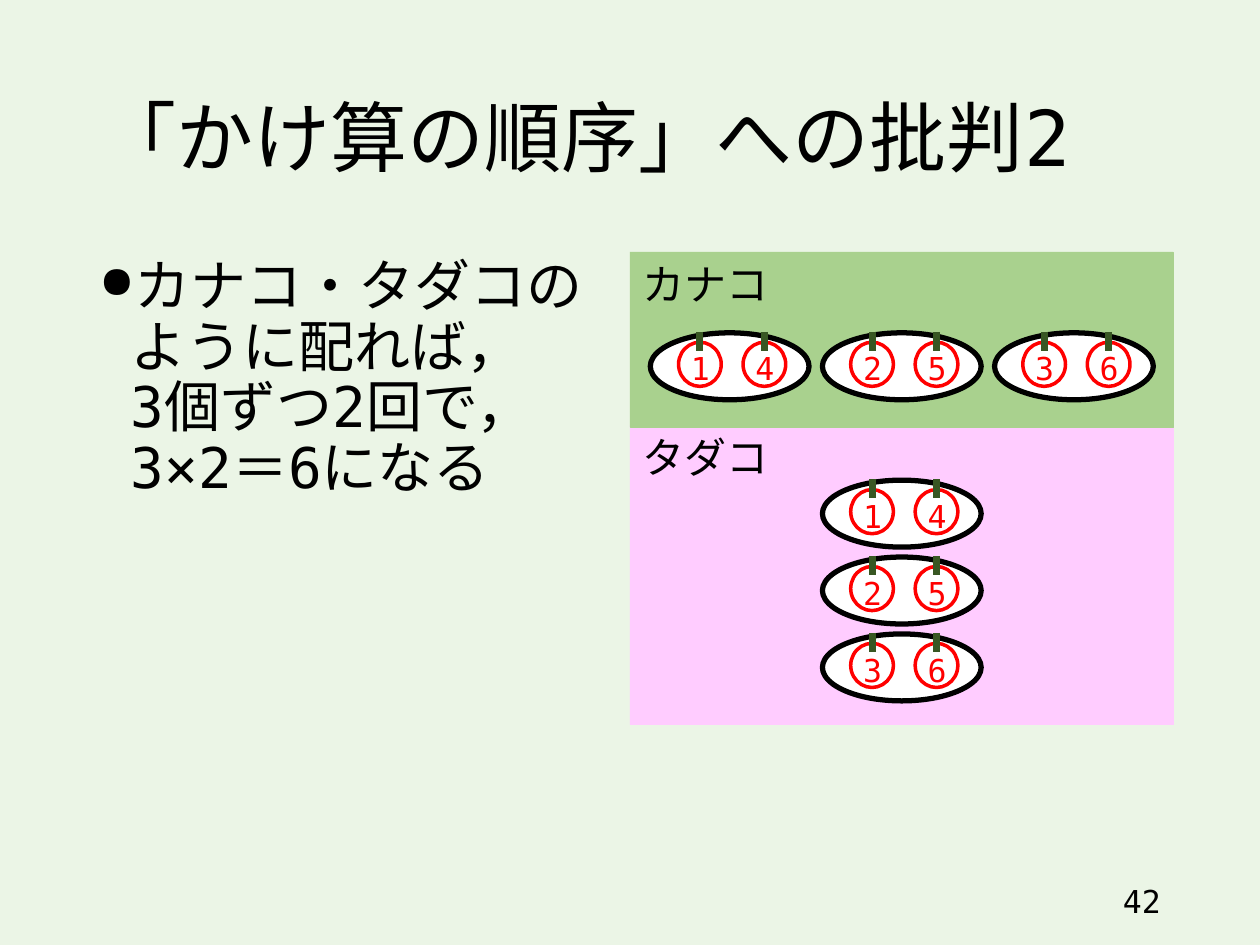
"""Build the slide criticising the fixed order of multiplication."""
from lxml import etree
from pptx import Presentation
from pptx.dml.color import RGBColor
from pptx.enum.shapes import MSO_CONNECTOR, MSO_SHAPE
from pptx.enum.text import MSO_ANCHOR, PP_ALIGN
from pptx.oxml.ns import qn
from pptx.util import Cm, Pt

RECT, OVAL = MSO_SHAPE.RECTANGLE, MSO_SHAPE.OVAL
STRAIGHT = MSO_CONNECTOR.STRAIGHT
LEFT, CENTER, RIGHT = PP_ALIGN.LEFT, PP_ALIGN.CENTER, PP_ALIGN.RIGHT
TOP, MIDDLE = MSO_ANCHOR.TOP, MSO_ANCHOR.MIDDLE

FONT = "DejaVu Sans Mono"
COLORS = {
    "background": "EBF5E6",
    "text": "000000",
    "kanako": "A9D18E",
    "tadako": "FFCCFF",
    "plate": "FFFFFF",
    "apple": "FF0000",
    "stem": "385723",
}
PANEL_X, PANEL_W = 12.7, 10.95
PLATE_W, PLATE_H = 3.2, 1.35
APPLE_W, APPLE_H, APPLE_GAP = 0.86, 0.89, 1.3
PLATES = [("1", "4"), ("2", "5"), ("3", "6")]


def color(name):
    return RGBColor.from_string(COLORS[name])


def place(sp, x, y, w, h):
    sp.left, sp.top, sp.width, sp.height = Cm(x), Cm(y), Cm(w), Cm(h)


def write(sp, text, size, ink="text", align=LEFT, anchor=TOP, wrap=True):
    tf = sp.text_frame
    tf.word_wrap = wrap
    tf.vertical_anchor = anchor
    p = tf.paragraphs[0]
    p.text = text
    p.alignment = align
    p.font.name, p.font.size = FONT, Pt(size)
    p.font.color.rgb = color(ink)
    return p


def add_text(shapes, x, y, w, h, text, size, **style):
    sp = shapes.add_textbox(Cm(x), Cm(y), Cm(w), Cm(h))
    return write(sp, text, size, **style)


def add_bullet(p):
    pPr = p._p.get_or_add_pPr()
    pPr.set("marL", str(Cm(0.64)))
    pPr.set("indent", str(-Cm(0.64)))
    size = etree.Element(qn("a:buSzPct"), val="80000")
    char = etree.Element(qn("a:buChar"), char="●")
    at = 1 if p.line_spacing else 0
    pPr.insert(at, size)
    pPr.insert(at + 1, char)


def add_shape(shapes, kind, x, y, w, h, fill, line, weight):
    sp = shapes.add_shape(kind, Cm(x), Cm(y), Cm(w), Cm(h))
    sp.shadow.inherit = False
    if fill:
        sp.fill.solid()
        sp.fill.fore_color.rgb = color(fill)
    else:
        sp.fill.background()
    sp.line.color.rgb = color(line)
    sp.line.width = Pt(weight)


def add_apple(shapes, x, y, number):
    group = shapes.add_group_shape().shapes
    add_shape(group, OVAL, x, y, APPLE_W, APPLE_H, None, "apple", 2)
    mid = Cm(x + APPLE_W / 2)
    stem = group.add_connector(STRAIGHT, mid, Cm(y - 0.21), mid, Cm(y + 0.18))
    stem.line.color.rgb = color("stem")
    stem.line.width = Pt(4)
    etree.SubElement(stem._element.spPr, qn("a:effectLst"))
    add_text(group, x, y + 0.02, APPLE_W, 1.02, number, 18,
             ink="apple", align=CENTER, wrap=False)


def add_panel(shapes, name, fill, y, h, plate_x, plate_y, step_x, step_y):
    add_shape(shapes, RECT, PANEL_X, y, PANEL_W, h, fill, fill, 0.5)
    add_text(shapes, PANEL_X, y, 3.07, 1.27, name, 24, wrap=False)
    for i, numbers in enumerate(PLATES):
        px, py = plate_x + i * step_x, plate_y + i * step_y
        add_shape(shapes, OVAL, px, py, PLATE_W, PLATE_H, "plate", "text", 3)
        for j, number in enumerate(numbers):
            add_apple(shapes, px + 0.57 + j * APPLE_GAP, py + 0.19, number)


def main():
    prs = Presentation()
    prs.slide_width, prs.slide_height = Cm(25.4), Cm(19.05)
    s = prs.slides.add_slide(prs.slide_layouts[5])
    s.background.fill.solid()
    s.background.fill.fore_color.rgb = color("background")

    title = s.shapes.title
    place(title, 1.75, 1.02, 21.9, 3.68)
    p = write(title, "「かけ算の順序」への批判2", 44, anchor=MIDDLE)
    p.line_spacing = 0.9

    lines = ["カナコ・タダコの", "ように配れば，", "3個ずつ2回で，", "3×2＝6になる"]
    p = add_text(s.shapes, 1.75, 5.08, 21.9, 12.09, "\v".join(lines), 32)
    p.line_spacing = 0.9
    add_bullet(p)

    add_text(s.shapes, 17.93, 17.65, 5.72, 1.02, "42", 18,
             align=RIGHT, anchor=MIDDLE)
    add_panel(s.shapes, "タダコ", "tadako", 8.57, 6.04, 16.58, 9.68, 0, 1.55)
    add_panel(s.shapes, "カナコ", "kanako", 5.08, 3.53, 13.11, 6.71, 3.47, 0)
    prs.save("out.pptx")


if __name__ == "__main__":
    main()
